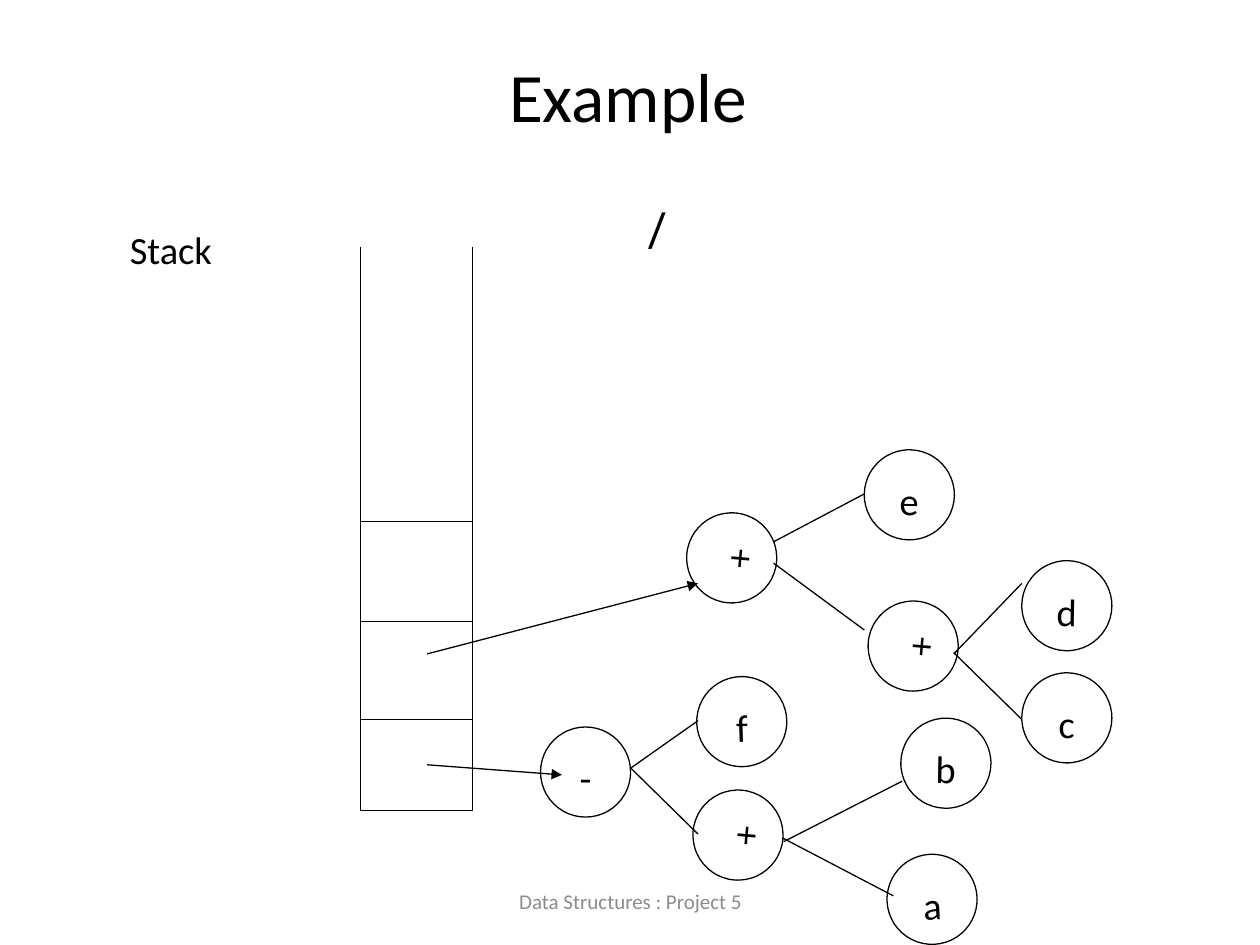
from lxml import etree
from pptx import Presentation
from pptx.dml.color import RGBColor
from pptx.enum.shapes import MSO_CONNECTOR, MSO_SHAPE
from pptx.enum.text import MSO_ANCHOR, PP_ALIGN
from pptx.oxml.ns import qn
from pptx.util import Inches, Pt

STRAIGHT = MSO_CONNECTOR.STRAIGHT
OVAL = MSO_SHAPE.OVAL
TOP, MIDDLE = MSO_ANCHOR.TOP, MSO_ANCHOR.MIDDLE
LEFT, CENTER = PP_ALIGN.LEFT, PP_ALIGN.CENTER
BLACK = "000000"
GRAY = "8C8C8C"

prs = Presentation()
prs.slide_width, prs.slide_height = Inches(10), Inches(7.5)
slide = prs.slides.add_slide(prs.slide_layouts[6])


def write(shape, text, size, color=BLACK, font="Calibri", align=CENTER,
          anchor=MIDDLE, spacing=1.24, margins=(0.1, 0.05), wrap=True):
    """Fill a shape with one line of text; margins are (sides, top and bottom)."""
    frame = shape.text_frame
    frame.word_wrap = wrap
    frame.vertical_anchor = anchor
    frame.margin_left = frame.margin_right = Inches(margins[0])
    frame.margin_top = frame.margin_bottom = Inches(margins[1])
    paragraph = frame.paragraphs[0]
    paragraph.alignment = align
    paragraph.line_spacing = spacing
    run = paragraph.add_run()
    run.text = text
    run.font.size = Pt(size)
    run.font.name = font
    run.font.color.rgb = RGBColor.from_string(color)


def add_line(x1, y1, x2, y2, arrow=False):
    line = slide.shapes.add_connector(
        STRAIGHT, Inches(x1), Inches(y1), Inches(x2), Inches(y2))
    line.line.width = Pt(0.75)
    line.line.color.rgb = RGBColor.from_string(BLACK)
    properties = line._element.spPr
    if arrow:
        outline = properties.find(qn("a:ln"))
        etree.SubElement(outline, qn("a:tailEnd"), type="triangle")
    etree.SubElement(properties, qn("a:effectLst"))


footer = slide.shapes.add_textbox(Inches(3.42), Inches(6.95), Inches(3.17), Inches(0.4))
write(footer, "Data Structures : Project 5", 12, GRAY, spacing=1)

title = slide.shapes.add_textbox(Inches(0.5), Inches(0.3), Inches(8.97), Inches(0.75))
write(title, "Example", 39.6)

stack_label = slide.shapes.add_textbox(Inches(0.89), Inches(1.61), Inches(1.06), Inches(0.65))
write(stack_label, "Stack", 22, align=LEFT, anchor=TOP, margins=(0.14, 0.1))

operator = slide.shapes.add_textbox(Inches(4.47), Inches(1.57), Inches(5.35), Inches(0.47))
write(operator, "/", 27, font="Roboto", align=LEFT, anchor=TOP, spacing=1.03,
      margins=(0.67, 0))

# Stack: two walls, with the cell borders between them
STACK_LEFT, STACK_RIGHT, STACK_TOP, STACK_BOTTOM = 2.86, 3.75, 1.96, 6.43
for wall_x in (STACK_LEFT, STACK_RIGHT):
    add_line(wall_x, STACK_TOP, wall_x, STACK_BOTTOM)
for border_y in (4.14, 4.93, 5.71, STACK_BOTTOM):
    add_line(STACK_LEFT, border_y, STACK_RIGHT, border_y)

# Expression trees: symbol, left, top, rotation
NODE_SIZE = 0.715
nodes = [
    ("-", 4.29, 5.77, 0),
    ("f", 5.53, 5.37, 358),
    ("+", 5.5, 6.27, 275),
    ("b", 7.15, 5.7, 1),
    ("a", 7.04, 6.78, 357),
    ("+", 5.45, 4.07, 275),
    ("e", 6.86, 3.57, 1),
    ("+", 6.89, 4.77, 275),
    ("d", 8.11, 4.45, 1),
    ("c", 8.11, 5.34, 1),
]
for symbol, left, top, rotation in nodes:
    node = slide.shapes.add_shape(
        OVAL, Inches(left), Inches(top), Inches(NODE_SIZE), Inches(NODE_SIZE))
    node.shadow.inherit = False
    node.fill.background()
    node.line.width = Pt(0.75)
    node.line.color.rgb = RGBColor.from_string(BLACK)
    node.rotation = rotation
    write(node, symbol, 22, wrap=False)

branches = [
    (5, 6.1, 5.54, 5.72),
    (5, 6.09, 5.54, 6.62),
    (6.22, 6.68, 7.16, 6.2),
    (6.21, 6.65, 7.09, 7.11),
    (6.14, 4.3, 6.86, 3.92),
    (6.14, 4.47, 6.86, 5),
    (7.57, 5.19, 8.11, 4.63),
    (7.57, 5.18, 8.11, 5.71),
]
for branch in branches:
    add_line(*branch)

# Pointers from the stack cells to the tree roots
POINTER_X = 3.39
add_line(POINTER_X, 6.07, 4.46, 6.15, arrow=True)
add_line(POINTER_X, 5.19, 5.54, 4.63, arrow=True)

prs.save("out.pptx")
